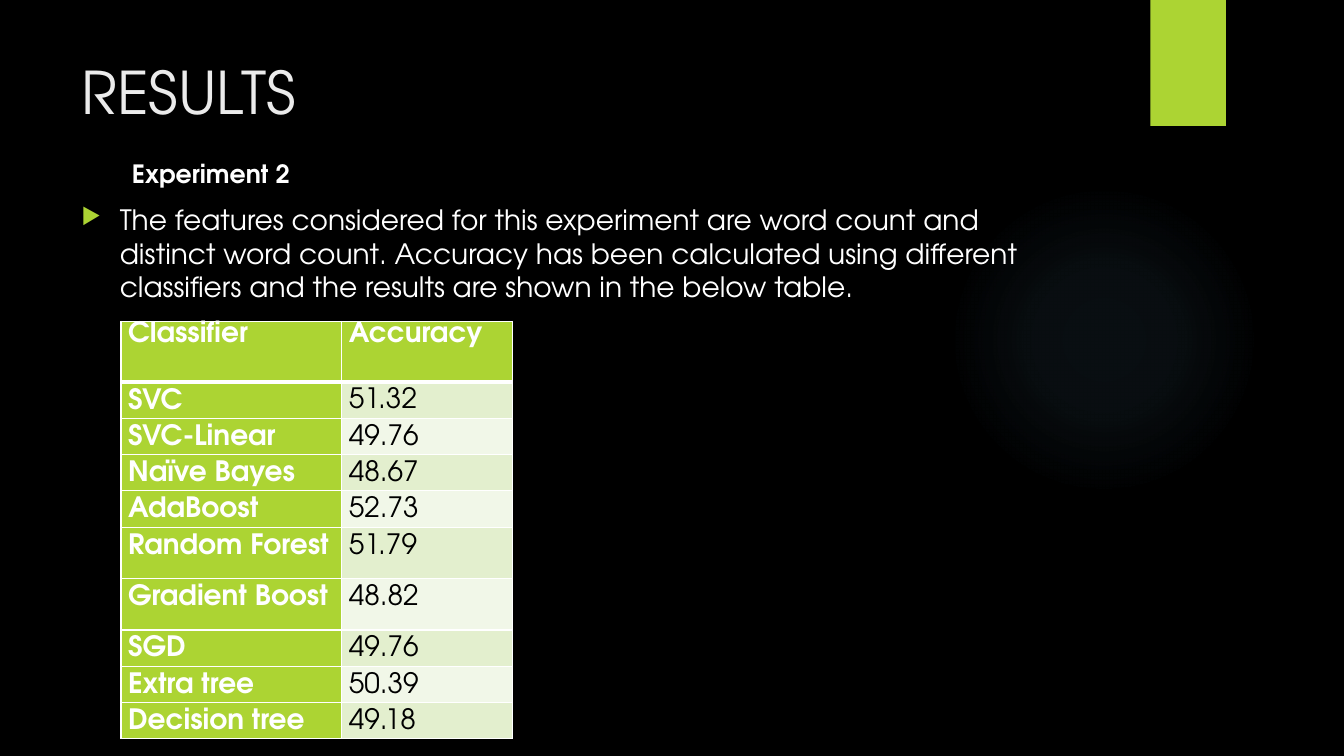
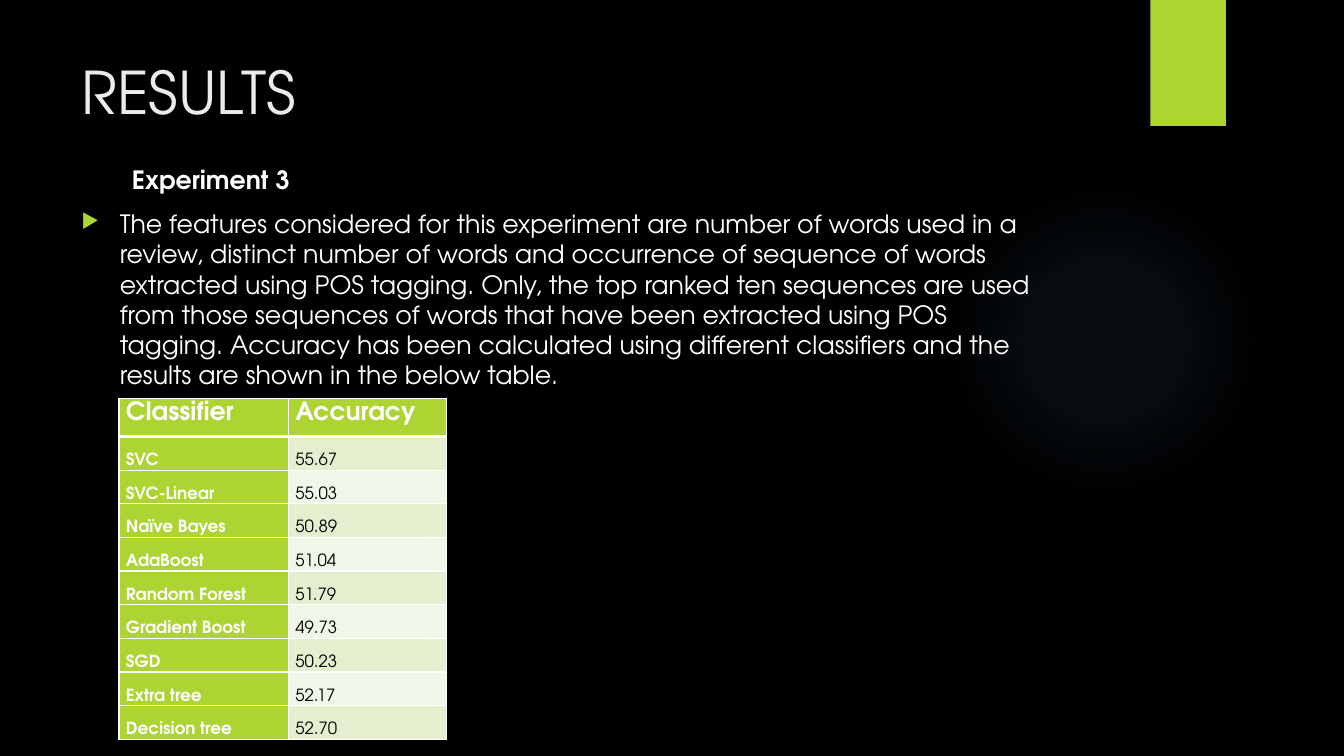
from lxml import etree
from pptx import Presentation
from pptx import util as u
from pptx.dml.color import RGBColor
from pptx.enum import shapes, text
from pptx.oxml import ns, parse_xml

BLACK = RGBColor(0x00, 0x00, 0x00)
WHITE = RGBColor(0xFF, 0xFF, 0xFF)
LIME = RGBColor(0xAC, 0xD4, 0x33)
TITLE_GRAY = RGBColor(0xEB, 0xEB, 0xEB)
GLOW_BLUE = RGBColor(0x7A, 0xC4, 0xF0)
ROW_TINTS = [RGBColor(0xE3, 0xEF, 0xCE), RGBColor(0xF1, 0xF7, 0xE8)]
FONT = "TeX Gyre Adventor"

CLASSIFIERS = ["SVC", "SVC-Linear", "Naïve Bayes", "AdaBoost", "Random Forest",
               "Gradient Boost", "SGD", "Extra tree", "Decision tree"]

EXPERIMENTS = [
    dict(
        heading="Experiment 2",
        summary="The features considered for this experiment are word count and distinct "
                "word count. Accuracy has been calculated using different classifiers and "
                "the results are shown in the below table.",
        summary_size=20, body_top=1.52, body_height=4.59,
        table_left=1.2, table_top=3.19, columns=[2.19, 1.69],
        rows=[0.6] + [0.36] * 4 + [0.51] * 2 + [0.36] * 3,
        header_size=20, cell_size=20, align=text.PP_ALIGN.LEFT,
        accuracy=["51.32", "49.76", "48.67", "52.73", "51.79",
                  "48.82", "49.76", "50.39", "49.18"],
    ),
    dict(
        heading="Experiment 3",
        summary="The features considered for this experiment are number of words used in a "
                "review, distinct number of words and occurrence of sequence of words "
                "extracted using POS tagging. Only, the top ranked ten sequences are used "
                "from those sequences of words that have been extracted using POS tagging. "
                "Accuracy has been calculated using different classifiers and the results "
                "are shown in the below table.",
        summary_size=18, body_top=1.58, body_height=5.69,
        table_left=1.18, table_top=3.95, columns=[1.68, 1.57],
        rows=[0.38] + [0.334] * 9,
        header_size=18, cell_size=12, align=text.PP_ALIGN.JUSTIFY,
        accuracy=["55.67", "55.03", "50.89", "51.04", "51.79",
                  "49.73", "50.23", "52.17", "52.70"],
    ),
]


def write(para, words, size, color=WHITE, bold=False, before=None, line=None,
          align=text.PP_ALIGN.LEFT, left=0, indent=0, bullet=None):
    span = para.add_run()
    span.text = words
    span.font.name = FONT
    span.font.size = u.Pt(size)
    span.font.bold = bold
    span.font.color.rgb = color
    para.alignment = align
    if before is not None:
        para.space_before = u.Pt(before)
    if line is not None:
        para.line_spacing = u.Pt(line)
    properties = para._p.get_or_add_pPr()
    properties.set("marL", str(u.Inches(left)))
    properties.set("indent", str(u.Inches(indent)))
    if bullet:
        bullet_color = etree.SubElement(properties, ns.qn("a:buClr"))
        etree.SubElement(bullet_color, ns.qn("a:srgbClr"), val=str(LIME))
        etree.SubElement(properties, ns.qn("a:buSzPct"), val="80000")
        etree.SubElement(properties, ns.qn("a:buChar"), char=bullet)


def set_borders(cell, top, bottom):
    properties = cell._tc.get_or_add_tcPr()
    for side, width in (("L", 1), ("R", 1), ("T", top), ("B", bottom)):
        line = etree.SubElement(properties, ns.qn(f"a:ln{side}"), w=str(u.Pt(width)))
        fill = etree.SubElement(line, ns.qn("a:solidFill"))
        etree.SubElement(fill, ns.qn("a:srgbClr"), val=str(WHITE))


deck = Presentation()
deck.slide_width = u.Inches(13.33)
deck.slide_height = u.Inches(7.5)

glow_stops = "".join(
    f'<a:gs pos="{place * 1000}"><a:srgbClr val="{GLOW_BLUE}">'
    f'<a:alpha val="{alpha * 1000}"/></a:srgbClr></a:gs>'
    for place, alpha in ((0, 7), (36, 6), (69, 0)))
glow_xml = (f'<a:gradFill {ns.nsdecls("a")}><a:gsLst>{glow_stops}</a:gsLst>'
            '<a:path path="circle"><a:fillToRect l="50000" t="50000" r="50000" b="50000"/>'
            '</a:path></a:gradFill>')

for experiment in EXPERIMENTS:
    page = deck.slides.add_slide(deck.slide_layouts[6])
    page.background.fill.solid()
    page.background.fill.fore_color.rgb = BLACK

    glow = page.shapes.add_shape(shapes.MSO_SHAPE.OVAL, u.Inches(9.41), u.Inches(1.83),
                                 u.Inches(3.08), u.Inches(3.08))
    glow.shadow.inherit = False
    glow.line.fill.background()
    glow._element.spPr.find(ns.qn("a:prstGeom")).addnext(parse_xml(glow_xml))

    band = page.shapes.add_shape(shapes.MSO_SHAPE.RECTANGLE, u.Inches(11.41), 0,
                                 u.Inches(0.75), u.Inches(1.25))
    band.shadow.inherit = False
    band.line.fill.background()
    band.fill.solid()
    band.fill.fore_color.rgb = LIME

    title = page.shapes.add_textbox(u.Inches(0.71), u.Inches(0.5),
                                    u.Inches(10.29), u.Inches(1.53)).text_frame
    title.word_wrap = True
    write(title.paragraphs[0], "RESULTS", 42, color=TITLE_GRAY)

    body = page.shapes.add_textbox(u.Inches(0.71), u.Inches(experiment["body_top"]),
                                   u.Inches(9.78),
                                   u.Inches(experiment["body_height"])).text_frame
    body.word_wrap = True
    write(body.paragraphs[0], experiment["heading"], 18, bold=True, left=0.5)
    write(body.add_paragraph(), experiment["summary"], experiment["summary_size"],
          before=10, left=0.38, indent=-0.38, bullet="▶")

    columns, rows = experiment["columns"], experiment["rows"]
    table = page.shapes.add_table(
        len(rows), len(columns),
        u.Inches(experiment["table_left"]), u.Inches(experiment["table_top"]),
        u.Inches(sum(columns)), u.Inches(sum(rows))).table
    for column, width in zip(table.columns, columns):
        column.width = u.Inches(width)
    for row, height in zip(table.rows, rows):
        row.height = u.Inches(height)

    records = [("Classifier", "Accuracy"), *zip(CLASSIFIERS, experiment["accuracy"])]
    for row_index, record in enumerate(records):
        header = row_index == 0
        for column_index, words in enumerate(record):
            label = header or column_index == 0
            cell = table.cell(row_index, column_index)
            cell.margin_left = cell.margin_right = u.Inches(0.07)
            cell.margin_top = 0 if header else u.Inches(0.16)
            cell.margin_bottom = 0
            set_borders(cell, 3 if row_index == 1 else 1, 3 if header else 1)
            cell.fill.solid()
            cell.fill.fore_color.rgb = LIME if label else ROW_TINTS[(row_index - 1) % 2]
            write(cell.text_frame.paragraphs[0], words,
                  experiment["header_size" if header else "cell_size"],
                  color=WHITE if label else BLACK, bold=label,
                  line=19 if header else 11.5,
                  align=text.PP_ALIGN.LEFT if header else experiment["align"])

deck.save("out.pptx")
